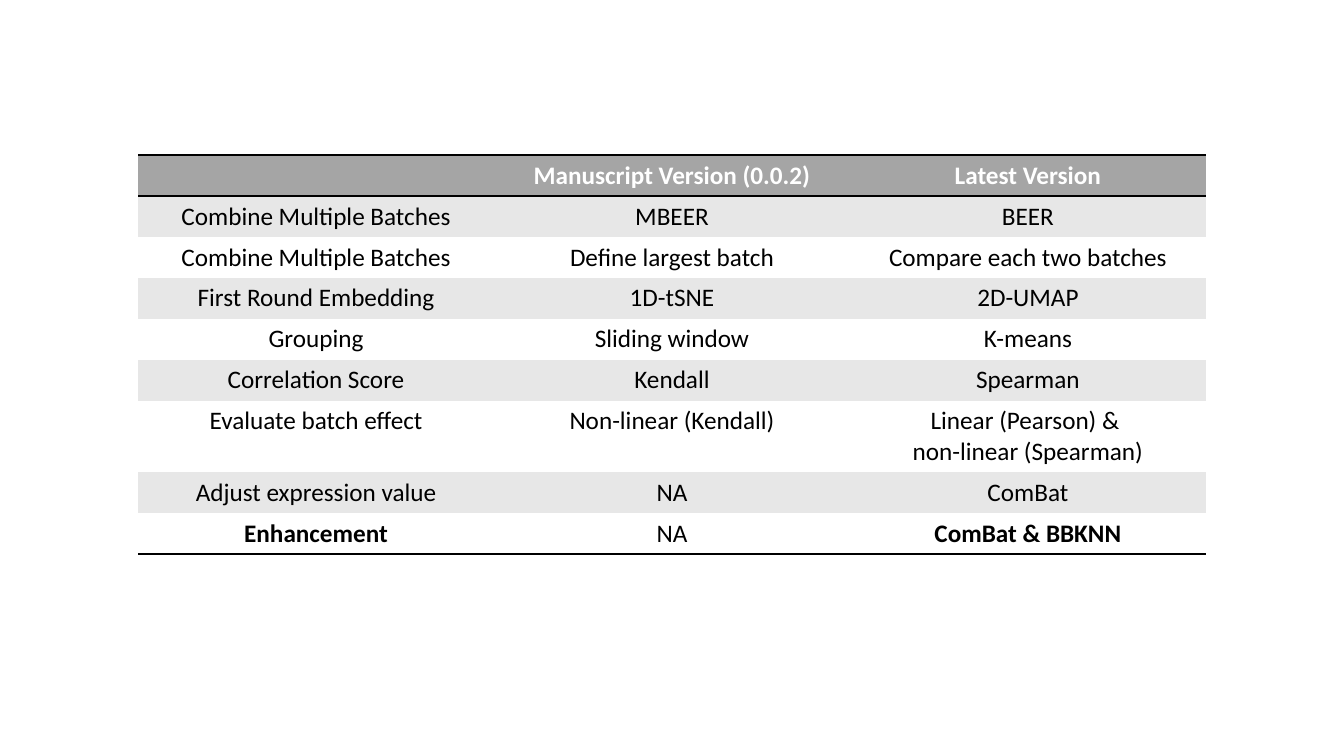
from pptx import Presentation
from pptx.dml.color import RGBColor as RGB
from pptx.enum.text import PP_ALIGN as Align
from pptx.oxml import parse_xml
from pptx.oxml.ns import nsdecls, qn
from pptx.util import Inches, Pt

BLACK = RGB(0x00, 0x00, 0x00)
WHITE = RGB(0xFF, 0xFF, 0xFF)
HEAD = RGB(0xA5, 0xA5, 0xA5)
BAND = RGB(0xE7, 0xE7, 0xE7)
PLAIN = "{2D5ABB26-0587-4C30-8999-92F81FD0307C}"  # no style, no grid

ROWS = [
    ("", "Manuscript Version (0.0.2)", "Latest Version"),
    ("Combine Multiple Batches", "MBEER", "BEER"),
    ("Combine Multiple Batches", "Define largest batch",
     "Compare each two batches"),
    ("First Round Embedding", "1D-tSNE", "2D-UMAP"),
    ("Grouping", "Sliding window", "K-means"),
    ("Correlation Score", "Kendall", "Spearman"),
    ("Evaluate batch effect", "Non-linear (Kendall)",
     "Linear (Pearson) & \nnon-linear (Spearman)"),
    ("Adjust expression value", "NA", "ComBat"),
    ("Enhancement", "NA", "ComBat & BBKNN"),
]
LAST = len(ROWS) - 1
BOLD = {(LAST, 0), (LAST, 2)}


def rule(cell, side):
    """Draw a 2 pt black border on one side, lnT or lnB, of a cell."""
    cell._tc.get_or_add_tcPr().append(parse_xml(
        f'<a:{side} {nsdecls("a")} w="{Pt(2)}"><a:solidFill>'
        f'<a:srgbClr val="{BLACK}"/></a:solidFill></a:{side}>'))


def style(cell, text, fill, color, bold):
    """Fill a cell and set its centred text."""
    cell.fill.solid()
    cell.fill.fore_color.rgb = fill
    cell.text = text
    for para in cell.text_frame.paragraphs:
        para.alignment = Align.CENTER
        font = para.font
        font.name, font.size, font.bold = "Calibri", Pt(18), bold
        font.color.rgb = color


def versions(slide, left, top, width, height):
    """Place the table that compares the two versions in the given box."""
    table = slide.shapes.add_table(
        len(ROWS), len(ROWS[0]), left, top, width, height).table
    table._tbl.tblPr.find(qn("a:tableStyleId")).text = PLAIN
    for row, texts in enumerate(ROWS):
        top_row = row == 0
        fill = HEAD if top_row else BAND if row % 2 else WHITE
        for col, text in enumerate(texts):
            cell = table.cell(row, col)
            if top_row:
                rule(cell, "lnT")
            if row in (0, LAST):
                rule(cell, "lnB")
            style(cell, text, fill, WHITE if top_row else BLACK,
                  top_row or (row, col) in BOLD)


def main():
    """Build and save the slide."""
    deck = Presentation()
    deck.slide_width, deck.slide_height = Inches(13.33), Inches(7.5)
    slide = deck.slides.add_slide(deck.slide_layouts[6])
    versions(slide, Inches(1.37), Inches(1.54), Inches(10.59), Inches(3.65))
    deck.save("out.pptx")


main()
